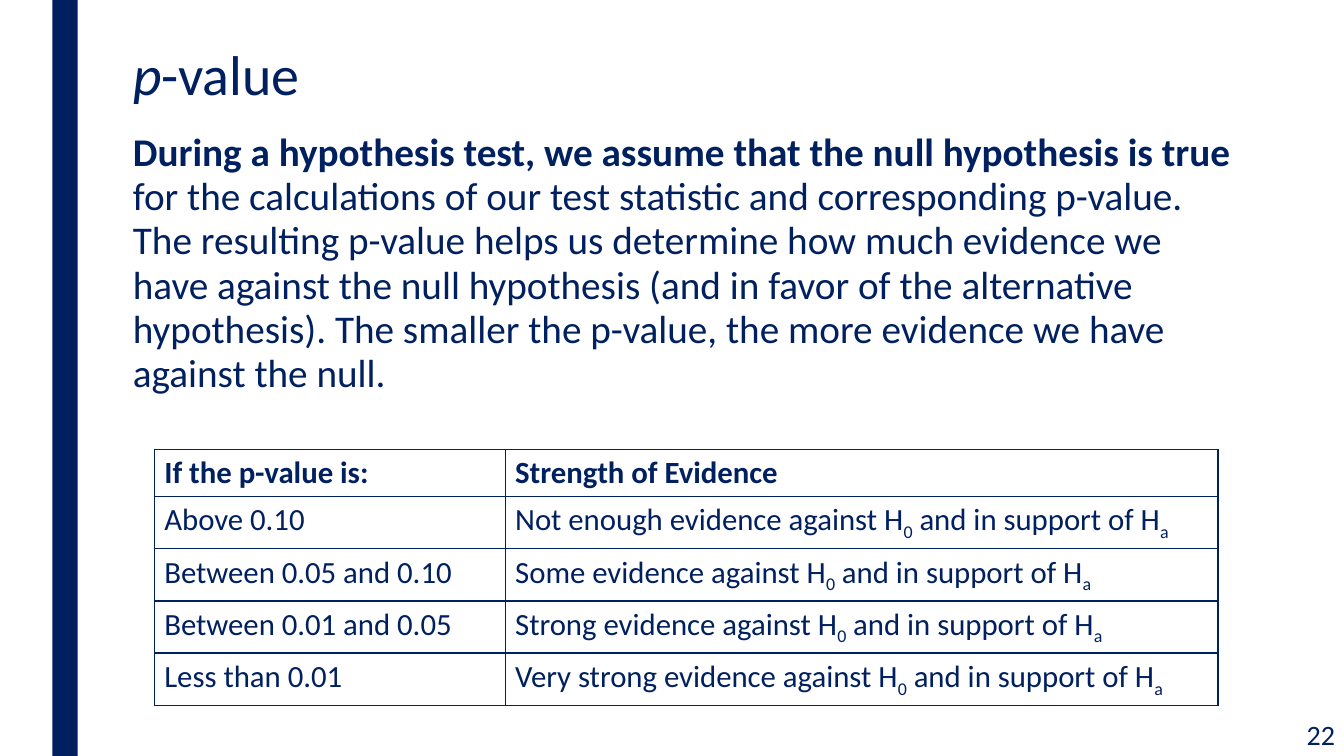
"""Build the p-value slide: side bar, title, explanation and evidence table."""
import dataclasses
import typing

import lxml.etree
import pptx
import pptx.dml.color
import pptx.enum.shapes
import pptx.enum.text
import pptx.oxml.ns
import pptx.util

Inches = pptx.util.Inches
Align = pptx.enum.text.PP_ALIGN
Anchor = pptx.enum.text.MSO_ANCHOR

COLORS = {"navy": "002060"}
FONT_NAME = "Calibri"
BORDER_POINTS = 1


@dataclasses.dataclass(frozen=True)
class Span:
    text: str
    format: dict[str, bool] = dataclasses.field(default_factory=dict)
    subscript: bool = False


@dataclasses.dataclass(frozen=True)
class TextBlock:
    left: float
    top: float
    width: float
    height: float
    size: int
    spans: tuple[Span, ...]
    paragraph: dict[str, typing.Any] = dataclasses.field(default_factory=dict)
    anchor: Anchor = Anchor.TOP


@dataclasses.dataclass(frozen=True)
class EvidenceRow:
    condition: str
    strength: str


TEXT_BLOCKS = (
    TextBlock(1.22, 0.42, 11.06, 0.81, 40,
              (Span("p", {"italic": True}), Span("-value")),
              {"line_spacing": 0.89}),
    TextBlock(1.22, 1.25, 11.18, 3.1, 28,
              (Span("During a hypothesis test, we assume that the null hypothesis is true ",
                    {"bold": True}),
               Span("for the calculations of our test statistic and corresponding p-value. "
                    "The resulting p-value helps us determine how much evidence we have "
                    "against the null hypothesis (and in favor of the alternative hypothesis). "
                    "The smaller the p-value, the more evidence we have against the null.")),
              {"line_spacing": 0.94, "space_before": pptx.util.Pt(10),
               "space_after": pptx.util.Pt(2)}),
    TextBlock(11.59, 7.06, 1.75, 0.44, 20, (Span("22"),),
              {"alignment": Align.RIGHT}, Anchor.MIDDLE),
)

TABLE_LEFT, TABLE_TOP = 1.53, 4.46
COLUMN_WIDTHS = (3.48, 7.07)
ROW_HEIGHT = 0.41
TABLE_SIZE = 22
HEADINGS = ("If the p-value is:", "Strength of Evidence")
EVIDENCE = (
    EvidenceRow("Above 0.10", "Not enough"),
    EvidenceRow("Between 0.05 and 0.10", "Some"),
    EvidenceRow("Between 0.01 and 0.05", "Strong"),
    EvidenceRow("Less than 0.01", "Very strong"),
)


def color(name: str) -> pptx.dml.color.RGBColor:
    return pptx.dml.color.RGBColor.from_string(COLORS[name])


def set_attributes(target: typing.Any, values: dict[str, typing.Any]) -> None:
    for name, value in values.items():
        setattr(target, name, value)


def write_spans(para: typing.Any, spans: tuple[Span, ...], size: int) -> None:
    for span in spans:
        run = para.add_run()
        run.text = span.text
        set_attributes(run.font, {"name": FONT_NAME, "size": pptx.util.Pt(size)} | span.format)
        run.font.color.rgb = color("navy")
        if span.subscript:
            run.font._element.set("baseline", "-25000")


def draw_side_bar(page: typing.Any) -> None:
    bar = page.shapes.add_shape(pptx.enum.shapes.MSO_SHAPE.RECTANGLE,
                                Inches(0.52), Inches(0), Inches(0.25), Inches(7.5))
    bar.shadow.inherit = False
    bar.fill.solid()
    bar.fill.fore_color.rgb = color("navy")
    bar.line.fill.background()


def draw_text(page: typing.Any, block: TextBlock) -> None:
    box = page.shapes.add_textbox(Inches(block.left), Inches(block.top),
                                  Inches(block.width), Inches(block.height))
    set_attributes(box.text_frame, {"word_wrap": True, "vertical_anchor": block.anchor})
    para = box.text_frame.paragraphs[0]
    set_attributes(para, block.paragraph)
    write_spans(para, block.spans, block.size)


def add_borders(cell: typing.Any) -> None:
    qualified = pptx.oxml.ns.qn
    properties = cell._tc.get_or_add_tcPr()
    for position, side in enumerate(("lnL", "lnR", "lnT", "lnB")):
        line = lxml.etree.Element(qualified(f"a:{side}"), w=str(pptx.util.Pt(BORDER_POINTS)))
        fill = lxml.etree.SubElement(line, qualified("a:solidFill"))
        lxml.etree.SubElement(fill, qualified("a:srgbClr"), val=COLORS["navy"])
        properties.insert(position, line)


def strength_spans(strength: str) -> tuple[Span, ...]:
    return (Span(f"{strength} evidence against H"), Span("0", subscript=True),
            Span(" and in support of H"), Span("a", subscript=True))


def draw_table(page: typing.Any) -> None:
    contents = [tuple((Span(heading, {"bold": True}),) for heading in HEADINGS)]
    contents += [((Span(row.condition),), strength_spans(row.strength)) for row in EVIDENCE]
    table = page.shapes.add_table(
        len(contents), len(COLUMN_WIDTHS), Inches(TABLE_LEFT), Inches(TABLE_TOP),
        Inches(sum(COLUMN_WIDTHS)), Inches(ROW_HEIGHT * len(contents))).table
    set_attributes(table, {"first_row": False, "horz_banding": False})
    for column, width in zip(table.columns, COLUMN_WIDTHS):
        column.width = Inches(width)
    for row, cells in zip(table.rows, contents):
        row.height = Inches(ROW_HEIGHT)
        for cell, spans in zip(row.cells, cells):
            cell.fill.background()
            add_borders(cell)
            write_spans(cell.text_frame.paragraphs[0], spans, TABLE_SIZE)


def main() -> None:
    deck = pptx.Presentation()
    set_attributes(deck, {"slide_width": Inches(13.33), "slide_height": Inches(7.5)})
    page = deck.slides.add_slide(deck.slide_layouts[6])
    draw_side_bar(page)
    for block in TEXT_BLOCKS:
        draw_text(page, block)
    draw_table(page)
    deck.save("out.pptx")


if __name__ == "__main__":
    main()
